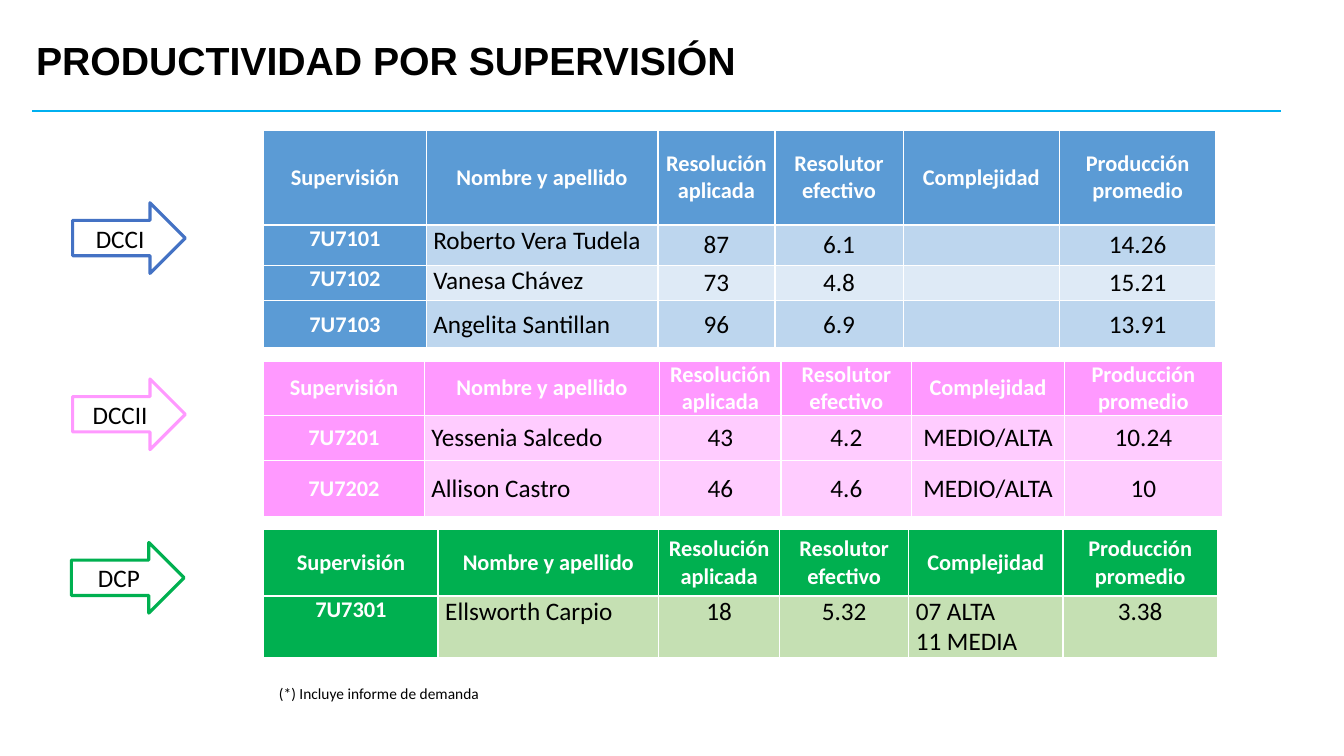
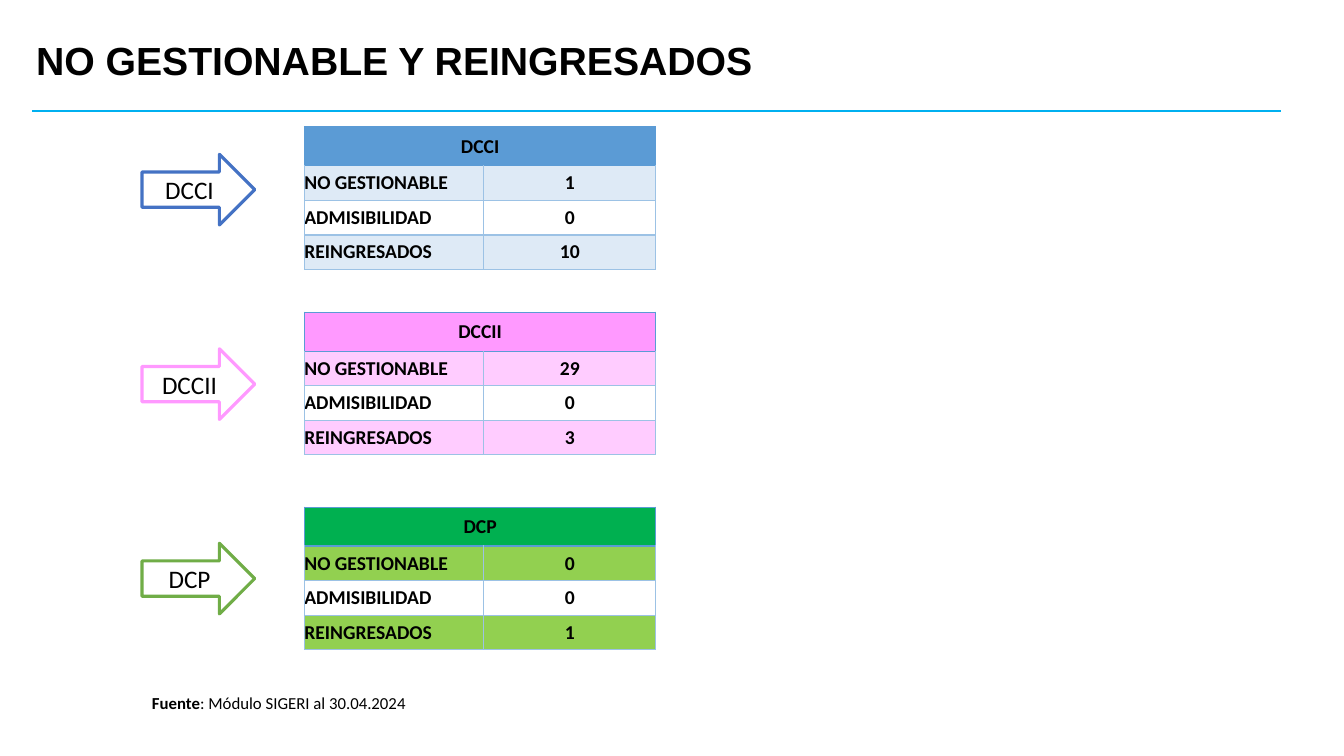
from dataclasses import dataclass

import lxml.etree
import pptx
import pptx.dml.color
import pptx.enum.shapes
import pptx.enum.text
import pptx.oxml.ns
import pptx.slide
import pptx.table
import pptx.text.text
import pptx.util
from pptx.dml.color import RGBColor
from pptx.util import Cm

BLACK = RGBColor(0x00, 0x00, 0x00)
WHITE = RGBColor(0xFF, 0xFF, 0xFF)
RULE_BLUE = RGBColor(0x00, 0xB0, 0xF0)
ARROW_BLUE = RGBColor(0x44, 0x72, 0xC4)
ARROW_GREEN = RGBColor(0x70, 0xAD, 0x47)
BLUE = RGBColor(0x5B, 0x9B, 0xD5)
BLUE_MEDIUM = RGBColor(0xBD, 0xD6, 0xEE)
BLUE_LIGHT = RGBColor(0xDE, 0xEA, 0xF6)
BLUE_BORDER = RGBColor(0x9C, 0xC2, 0xE5)
PINK = RGBColor(0xFF, 0x99, 0xFF)
PINK_LIGHT = RGBColor(0xFF, 0xCC, 0xFF)
GREEN = RGBColor(0x00, 0xB0, 0x50)
GREEN_LIGHT = RGBColor(0xC5, 0xE0, 0xB3)
LIME = RGBColor(0x92, 0xD0, 0x50)

BODY_FONT = "Calibri"
LEFT = pptx.enum.text.PP_ALIGN.LEFT
CENTER = pptx.enum.text.PP_ALIGN.CENTER
TOP = pptx.enum.text.MSO_ANCHOR.TOP
MIDDLE = pptx.enum.text.MSO_ANCHOR.MIDDLE

HEADINGS = ("Supervisión", "Nombre y apellido", "Resolución aplicada",
            "Resolutor efectivo", "Complejidad", "Producción promedio")
CASE_LABELS = ("NO GESTIONABLE", "ADMISIBILIDAD", "REINGRESADOS")


@dataclass(frozen=True)
class Arrow:
    label: str
    left: float
    top: float
    color: RGBColor


@dataclass(frozen=True)
class TeamTable:
    top: float
    widths: tuple[float, ...]
    heights: tuple[float, ...]
    color: RGBColor
    bands: tuple[RGBColor, ...]
    rows: tuple[tuple[str, ...], ...]
    top_anchored_columns: tuple[int, ...]


@dataclass(frozen=True)
class CaseTable:
    label: str
    top: float
    color: RGBColor
    band: RGBColor
    counts: tuple[str, str, str]


@dataclass(frozen=True)
class CellStyle:
    fill: RGBColor
    size: int
    color: RGBColor = BLACK
    bold: bool = False
    alignment: pptx.enum.text.PP_ALIGN = CENTER
    anchor: pptx.enum.text.MSO_ANCHOR = MIDDLE
    inset: float = 0
    border: RGBColor = WHITE
    top_border: RGBColor = WHITE


TEAM_ARROWS = (
    Arrow("DCCI", 1.83, 5.11, ARROW_BLUE),
    Arrow("DCCII", 1.83, 9.55, PINK),
    Arrow("DCP", 1.8, 13.67, GREEN),
)

TEAM_TABLES = (
    TeamTable(
        3.28, (4.09, 5.84, 2.95, 3.23, 3.94, 3.94), (2.39, 1.02, 0.89, 1.19),
        BLUE, (BLUE_MEDIUM, BLUE_LIGHT),
        (("7U7101", "Roberto Vera Tudela", "87", "6.1", "", "14.26"),
         ("7U7102", "Vanesa Chávez", "73", "4.8", "", "15.21"),
         ("7U7103", "Angelita Santillan", "96", "6.9", "", "13.91")),
        (2, 2, 0)),
    TeamTable(
        9.1, (4.04, 5.94, 3.05, 3.3, 3.84, 3.99), (1.37, 1.14, 1.4),
        PINK, (PINK_LIGHT,),
        (("7U7201", "Yessenia Salcedo", "43", "4.2", "MEDIO/ALTA", "10.24"),
         ("7U7202", "Allison Castro", "46", "4.6", "MEDIO/ALTA", "10")),
        (0, 0)),
    TeamTable(
        13.34, (4.39, 5.56, 3.05, 3.25, 3.89, 3.89), (1.68, 1.55),
        GREEN, (GREEN_LIGHT,),
        (("7U7301", "Ellsworth Carpio", "18", "5.32", "07 ALTA\n11 MEDIA", "3.38"),),
        (6,)),
)

CASE_ARROW_COLORS = (ARROW_BLUE, PINK, ARROW_GREEN)
CASE_TABLES = (
    CaseTable("DCCI", 3.2, BLUE, BLUE_LIGHT, ("1", "0", "10")),
    CaseTable("DCCII", 7.87, PINK, PINK_LIGHT, ("29", "0", "3")),
    CaseTable("DCP", 12.78, GREEN, LIME, ("0", "0", "1")),
)


def set_font(paragraph: pptx.text.text._Paragraph, size: int, color: RGBColor = BLACK,
             name: str = BODY_FONT) -> None:
    paragraph.font.size = pptx.util.Pt(size)
    paragraph.font.name = name
    paragraph.font.color.rgb = color


def add_text_box(slide: pptx.slide.Slide, left: float, top: float, width: float,
                 height: float) -> pptx.text.text.TextFrame:
    text_box = slide.shapes.add_textbox(Cm(left), Cm(top), Cm(width), Cm(height))
    text_box.text_frame.word_wrap = True
    return text_box.text_frame


def add_titled_slide(presentation: pptx.presentation.Presentation,
                     title: str) -> pptx.slide.Slide:
    slide = presentation.slides.add_slide(presentation.slide_layouts[6])
    rule = slide.shapes.add_connector(pptx.enum.shapes.MSO_CONNECTOR.STRAIGHT,
                                      Cm(0.81), Cm(2.79), Cm(32.28), Cm(2.79))
    rule.line.color.rgb = RULE_BLUE
    rule.line.width = pptx.util.Pt(1.5)
    lxml.etree.SubElement(rule._element.spPr, pptx.oxml.ns.qn("a:effectLst"))
    frame = add_text_box(slide, 0.66, 0.69, 29.21, 1.78)
    frame.vertical_anchor = MIDDLE
    paragraph = frame.paragraphs[0]
    paragraph.text = title
    paragraph.line_spacing = 0.9
    set_font(paragraph, 28, name="Arial")
    paragraph.font.bold = True
    return slide


def add_arrow(slide: pptx.slide.Slide, arrow: Arrow) -> None:
    shape = slide.shapes.add_shape(pptx.enum.shapes.MSO_SHAPE.RIGHT_ARROW,
                                   Cm(arrow.left), Cm(arrow.top), Cm(2.84), Cm(1.78))
    shape.shadow.inherit = False
    shape.fill.solid()
    shape.fill.fore_color.rgb = WHITE
    shape.line.color.rgb = arrow.color
    shape.line.width = pptx.util.Pt(2.25)
    shape.text_frame.vertical_anchor = MIDDLE
    paragraph = shape.text_frame.paragraphs[0]
    paragraph.text = arrow.label
    paragraph.alignment = CENTER
    set_font(paragraph, 18)


def add_table(slide: pptx.slide.Slide, left: float, top: float, widths: tuple[float, ...],
              heights: tuple[float, ...]) -> pptx.table.Table:
    table = slide.shapes.add_table(len(heights), len(widths), Cm(left), Cm(top),
                                   Cm(sum(widths)), Cm(sum(heights))).table
    table.first_row = False
    table.horz_banding = False
    for column, width in zip(table.columns, widths):
        column.width = Cm(width)
    for row, height in zip(table.rows, heights):
        row.height = Cm(height)
    return table


def add_borders(cell: pptx.table._Cell, style: CellStyle) -> None:
    properties = cell._tc.get_or_add_tcPr()
    qn = pptx.oxml.ns.qn
    for side in "LRTB":
        line = lxml.etree.SubElement(properties, qn(f"a:ln{side}"), w=str(pptx.util.Pt(1)))
        fill = lxml.etree.SubElement(line, qn("a:solidFill"))
        color = style.top_border if side == "T" else style.border
        lxml.etree.SubElement(fill, qn("a:srgbClr"), val=str(color))


def fill_cell(cell: pptx.table._Cell, text: str, style: CellStyle) -> None:
    add_borders(cell, style)
    cell.fill.solid()
    cell.fill.fore_color.rgb = style.fill
    cell.margin_left = cell.margin_right = Cm(style.inset)
    cell.margin_top = cell.margin_bottom = 0
    cell.vertical_anchor = style.anchor
    cell.text = text
    for paragraph in cell.text_frame.paragraphs:
        paragraph.alignment = style.alignment
        set_font(paragraph, style.size, style.color)
        paragraph.font.bold = style.bold


def add_team_table(slide: pptx.slide.Slide, team: TeamTable) -> None:
    table = add_table(slide, 6.65, team.top, team.widths, team.heights)
    for column, heading in enumerate(HEADINGS):
        fill_cell(table.cell(0, column), heading,
                  CellStyle(team.color, 16, WHITE, True, inset=0.18))
    for row, values in enumerate(team.rows):
        band = team.bands[row % len(team.bands)]
        for column, value in enumerate(values):
            anchor = TOP if column < team.top_anchored_columns[row] else MIDDLE
            if column == 0:
                style = CellStyle(team.color, 16, WHITE, True, anchor=anchor, inset=0.18)
            else:
                alignment = LEFT if column == 1 or "\n" in value else CENTER
                style = CellStyle(band, 18, alignment=alignment, anchor=anchor, inset=0.18)
            fill_cell(table.cell(row + 1, column), value, style)


def add_case_table(slide: pptx.slide.Slide, case: CaseTable) -> None:
    table = add_table(slide, 7.67, case.top, (4.52, 4.34), (0.98, 0.87, 0.87, 0.87))
    header = CellStyle(case.color, 14, bold=True, border=BLUE, top_border=BLUE)
    table.cell(0, 0).merge(table.cell(0, 1))
    for column, text in enumerate((case.label, "")):
        fill_cell(table.cell(0, column), text, header)
    for row, texts in enumerate(zip(CASE_LABELS, case.counts), start=1):
        for column, (text, alignment) in enumerate(zip(texts, (LEFT, CENTER))):
            fill_cell(table.cell(row, column), text,
                      CellStyle(case.band if row % 2 else WHITE, 14, bold=True,
                                alignment=alignment, border=BLUE_BORDER,
                                top_border=BLUE if row == 1 else BLUE_BORDER))


def build_productivity_slide(presentation: pptx.presentation.Presentation) -> None:
    slide = add_titled_slide(presentation, "PRODUCTIVIDAD POR SUPERVISIÓN")
    for arrow in TEAM_ARROWS:
        add_arrow(slide, arrow)
    for team in TEAM_TABLES:
        add_team_table(slide, team)
    paragraph = add_text_box(slide, 6.78, 17.12, 6.76, 0.74).paragraphs[0]
    paragraph.text = "(*) Incluye informe de demanda"
    set_font(paragraph, 11)


def build_cases_slide(presentation: pptx.presentation.Presentation) -> None:
    slide = add_titled_slide(presentation, "NO GESTIONABLE Y REINGRESADOS")
    for index, (case, color) in enumerate(zip(CASE_TABLES, CASE_ARROW_COLORS)):
        add_arrow(slide, Arrow(case.label, 3.58, 3.89 + 4.9 * index, color))
        add_case_table(slide, case)
    paragraph = add_text_box(slide, 3.58, 17.32, 8.69, 0.76).paragraphs[0]
    set_font(paragraph, 12)
    source_label = paragraph.add_run()
    source_label.text = "Fuente"
    source_label.font.bold = True
    paragraph.add_run().text = ": Módulo SIGERI al 30.04.2024"


def main() -> None:
    presentation = pptx.Presentation()
    presentation.slide_width = Cm(33.87)
    presentation.slide_height = Cm(19.05)
    build_productivity_slide(presentation)
    build_cases_slide(presentation)
    presentation.save("out.pptx")


if __name__ == "__main__":
    main()
